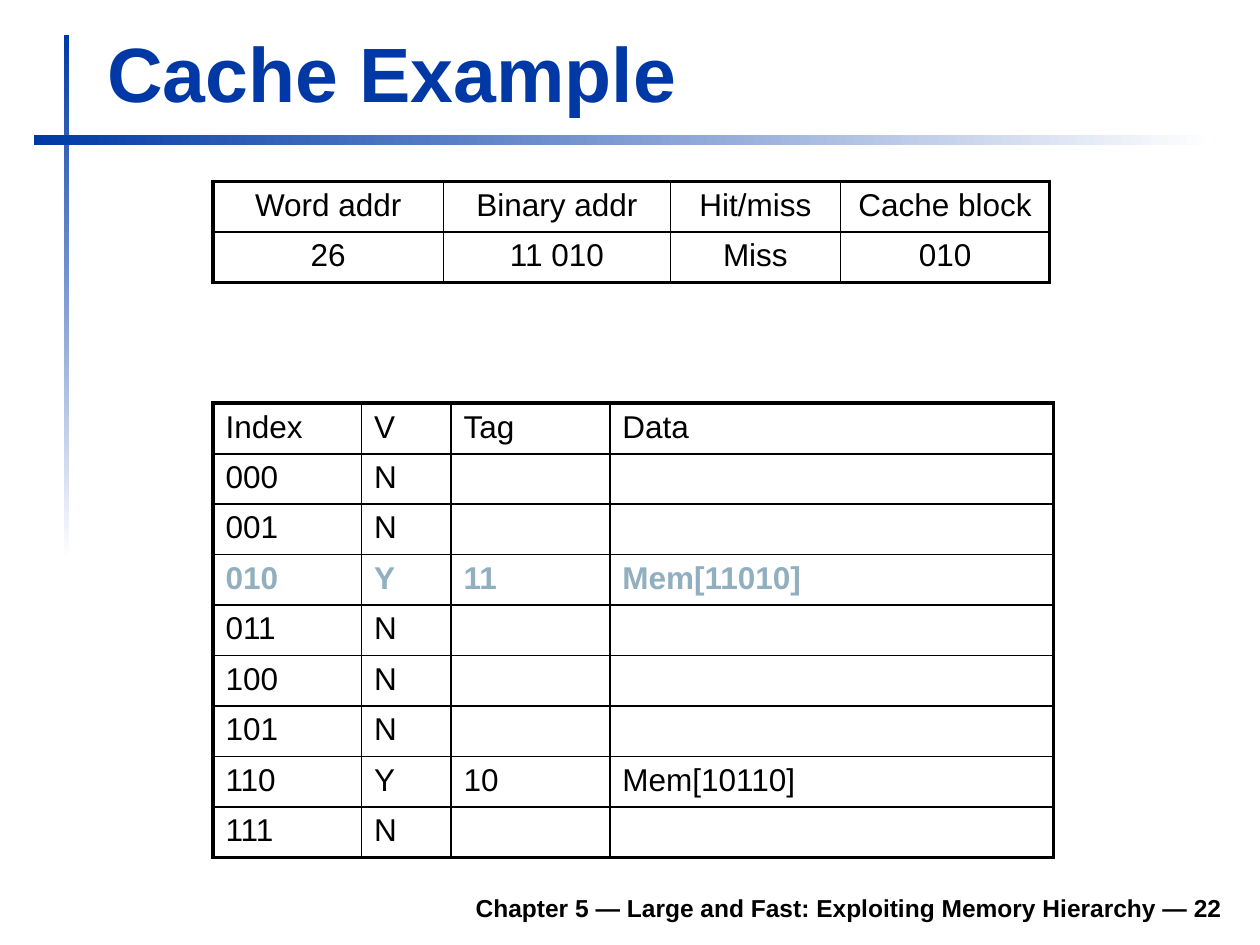
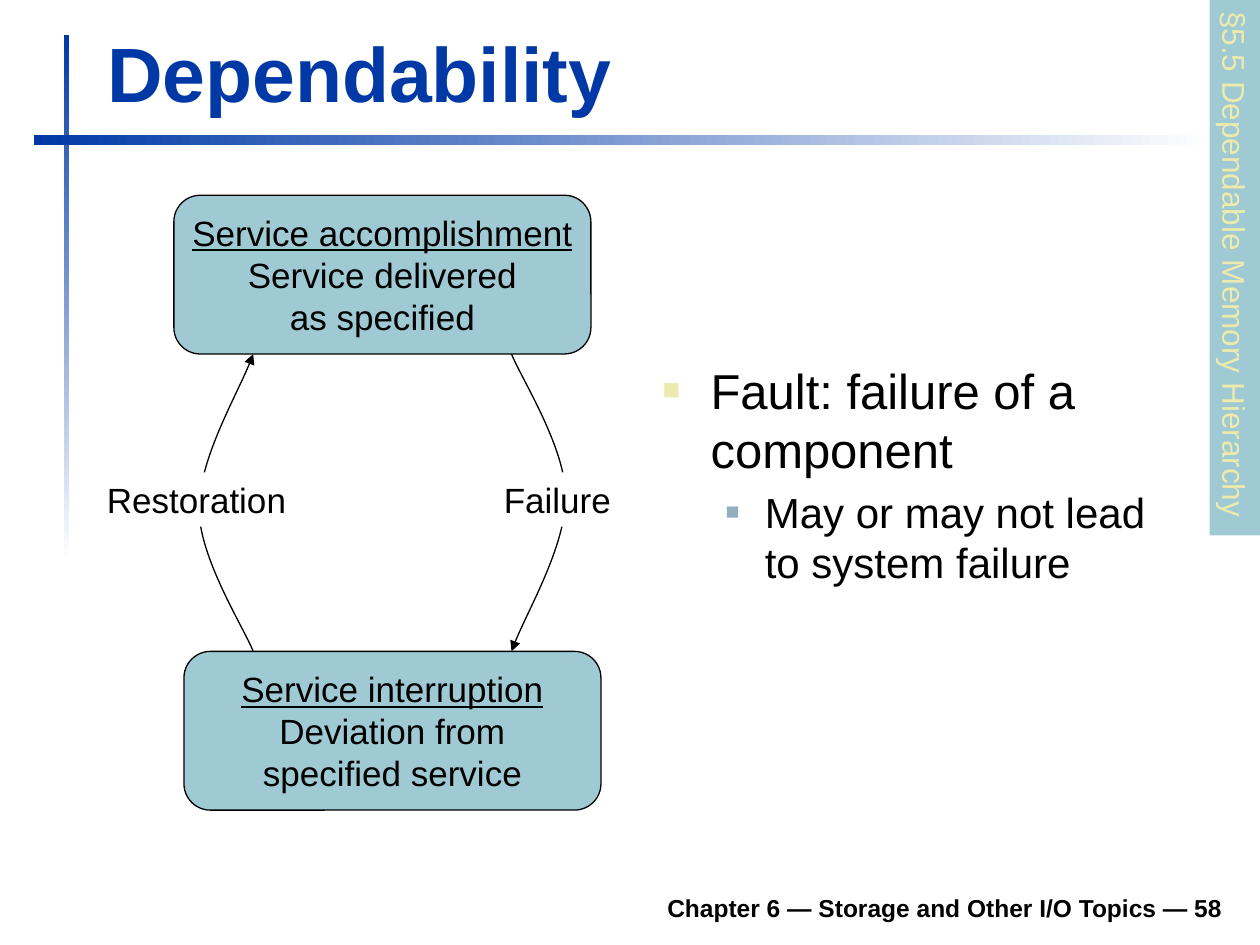
from lxml.etree import SubElement
from pptx import Presentation
from pptx.dml.color import RGBColor
from pptx.enum.shapes import MSO_SHAPE
from pptx.enum.text import MSO_ANCHOR, MSO_AUTO_SIZE, PP_ALIGN
from pptx.oxml.ns import qn
from pptx.util import Pt

EMU_PER_PX = 9144
FONT = "Arial"
BLUE = RGBColor(0x00, 0x39, 0xA6)
WHITE = RGBColor(0xFF, 0xFF, 0xFF)
BLACK = RGBColor(0x00, 0x00, 0x00)
TEAL = RGBColor(0x9F, 0xCA, 0xD3)
STEEL = RGBColor(0x91, 0xAF, 0xBF)
CREAM = RGBColor(0xEC, 0xEA, 0xAC)

TITLE_ONLY, TITLE_AND_BODY = 5, 1
ROW_HEIGHT = 40
OUTER, HEADER_RULE, INNER = 2.25, 1.5, 1

ACCESS_ROWS = [
    ["Word addr", "Binary addr", "Hit/miss", "Cache block"],
    ["26", "11 010", "Miss", "010"],
]
VALID_BLOCKS = {"010": ["Y", "11", "Mem[11010]"], "110": ["Y", "10", "Mem[10110]"]}
CACHE_ROWS = [["Index", "V", "Tag", "Data"]] + [
    [index] + VALID_BLOCKS.get(index, ["N", "", ""])
    for index in (format(number, "03b") for number in range(8))
]


def px(*lengths):
    return [length * EMU_PER_PX for length in lengths]


def write(paragraph, text, size=18, color=BLACK, bold=False, underline=False,
          align=PP_ALIGN.LEFT, before=0):
    paragraph.text = text
    paragraph.alignment = align
    paragraph.space_before = Pt(before)
    for run in paragraph.runs:
        font = run.font
        font.name, font.size = FONT, Pt(size)
        font.bold, font.underline = bold, underline
        font.color.rgb = color


def place(shape, box):
    shape.left, shape.top, shape.width, shape.height = px(*box)


def add_box(slide, box, fill=None, line=None, kind=MSO_SHAPE.RECTANGLE):
    shape = slide.shapes.add_shape(kind, *px(*box))
    shape.shadow.inherit = False
    if fill is not None:
        shape.fill.solid()
        shape.fill.fore_color.rgb = fill
    set_line(shape, line)
    shape.text_frame.word_wrap = False
    return shape


def set_line(shape, color):
    if color is None:
        shape.line.fill.background()
    else:
        shape.line.color.rgb = color
        shape.line.width = Pt(0.75)


def add_label(slide, box, text, fill=WHITE, **text_format):
    shape = add_box(slide, box, fill)
    frame = shape.text_frame
    frame.auto_size = MSO_AUTO_SIZE.SHAPE_TO_FIT_TEXT
    frame.vertical_anchor = MSO_ANCHOR.TOP
    write(frame.paragraphs[0], text, **text_format)
    return shape


def add_gradient_band(slide, box, angle):
    shape = add_box(slide, box)
    shape.fill.gradient()
    shape.fill.gradient_angle = angle
    for stop, position, color in zip(shape.fill.gradient_stops, (0, 1), (BLUE, WHITE)):
        stop.position = position
        stop.color.rgb = color


def add_base_slide(presentation, layout, title, footer):
    slide = presentation.slides.add_slide(presentation.slide_layouts[layout])
    add_gradient_band(slide, (51, 28, 4, 417), 270)
    add_gradient_band(slide, (27, 107, 937, 8), 0)

    place(slide.shapes.title, (75, 16, 903, 83))
    frame = slide.shapes.title.text_frame
    frame.auto_size = MSO_AUTO_SIZE.NONE
    frame.vertical_anchor = MSO_ANCHOR.BOTTOM
    write(frame.paragraphs[0], title, size=44, color=BLUE, bold=True)

    frame = slide.shapes.add_textbox(*px(185, 698, 795, 39)).text_frame
    frame.word_wrap = True
    frame.vertical_anchor = MSO_ANCHOR.BOTTOM
    write(frame.paragraphs[0], footer, size=14, bold=True, align=PP_ALIGN.RIGHT)
    return slide


def set_borders(cell, **widths):
    properties = cell._tc.get_or_add_tcPr()
    for side, width in widths.items():
        line = SubElement(properties, qn(f"a:ln{side}"), w=str(Pt(width)))
        fill = SubElement(line, qn("a:solidFill"))
        SubElement(fill, qn("a:srgbClr"), val=str(BLACK))


def row_rule(position, count):
    if position in (0, count):
        return OUTER
    return HEADER_RULE if position == 1 else INNER


def add_grid(slide, left, top, widths, rows, highlight=None, align=PP_ALIGN.LEFT):
    box = (left, top, sum(widths), ROW_HEIGHT * len(rows))
    table = slide.shapes.add_table(len(rows), len(widths), *px(*box)).table
    table.first_row = table.horz_banding = False
    for column, width in zip(table.columns, px(*widths)):
        column.width = width
    last = len(widths) - 1
    for row, texts in enumerate(rows):
        marked = texts[0] == highlight
        for column, text in enumerate(texts):
            cell = table.cell(row, column)
            set_borders(
                cell,
                L=OUTER if column == 0 else INNER,
                R=OUTER if column == last else INNER,
                T=row_rule(row, len(rows)),
                B=row_rule(row + 1, len(rows)),
            )
            cell.fill.background()
            write(cell.text_frame.paragraphs[0], text, align=align,
                  bold=marked, color=STEEL if marked else BLACK)


def add_bullet(paragraph, level, text, indent, hanging, bullet_color, bullet_size,
               **text_format):
    paragraph.level = level
    properties = paragraph._p.get_or_add_pPr()
    properties.set("marL", str(indent * EMU_PER_PX))
    properties.set("indent", str(-hanging * EMU_PER_PX))
    color = SubElement(properties, qn("a:buClr"))
    SubElement(color, qn("a:srgbClr"), val=str(bullet_color))
    SubElement(properties, qn("a:buSzPct"), val=str(bullet_size * 1000))
    SubElement(properties, qn("a:buFont"), typeface=FONT)
    SubElement(properties, qn("a:buChar"), char="■")
    write(paragraph, text, **text_format)


def add_fault_list(slide, box):
    body = slide.placeholders[1]
    place(body, box)
    frame = body.text_frame
    frame.auto_size = MSO_AUTO_SIZE.NONE
    add_bullet(frame.paragraphs[0], 0, "Fault: failure of a component",
               38, 38, CREAM, 60, size=28)
    add_bullet(frame.add_paragraph(), 1, "May or may not lead to system failure",
               81, 31, STEEL, 55, size=24, before=4.8)


def add_state(slide, box, name, description):
    shape = add_box(slide, box, TEAL, BLACK, MSO_SHAPE.ROUNDED_RECTANGLE)
    frame = shape.text_frame
    frame.vertical_anchor = MSO_ANCHOR.MIDDLE
    write(frame.paragraphs[0], name, size=20, underline=True, align=PP_ALIGN.CENTER)
    write(frame.add_paragraph(), description, size=20, align=PP_ALIGN.CENTER)


def add_curved_arrow(slide, points):
    start, *controls = [px(*point) for point in points]
    builder = slide.shapes.build_freeform(*start)
    builder.add_line_segments(controls, close=False)
    shape = builder.convert_to_shape()
    shape.shadow.inherit = False
    shape.fill.background()
    set_line(shape, BLACK)
    SubElement(shape.line._get_or_add_ln(), qn("a:tailEnd"), type="triangle")

    outline = next(shape._element.iter(qn("a:path")))
    segments = outline.findall(qn("a:lnTo"))
    for first in range(0, len(segments), 3):
        curve = SubElement(outline, qn("a:cubicBezTo"))
        for segment in segments[first:first + 3]:
            curve.append(segment[0])
            outline.remove(segment)


def add_state_cycle(slide, left, top):
    state_size = (331, 126)
    add_state(slide, (left + 63, top, *state_size),
              "Service accomplishment", "Service delivered\vas specified")
    add_state(slide, (left + 71, top + 362, *state_size),
              "Service interruption", "Deviation from\vspecified service")

    failure = [(331, 126), (338, 144), (374, 200), (374, 239),
               (374, 278), (340, 336), (331, 362)]
    restoration = [(457 - x, 488 - y) for x, y in failure]
    for curve in (failure, restoration):
        add_curved_arrow(slide, [(left + x, top + y) for x, y in curve])

    add_label(slide, (left + 315, top + 220, 105, 43), "Failure", size=20)
    add_label(slide, (left, top + 220, 162, 43), "Restoration", size=20,
              align=PP_ALIGN.RIGHT)


def add_section_tab(slide, box, text):
    tab = add_label(slide, box, text, fill=TEAL, color=CREAM)
    tab.rotation = 90


def add_cache_slide(presentation):
    slide = add_base_slide(
        presentation, TITLE_ONLY, "Cache Example",
        "Chapter 5 — Large and Fast: Exploiting Memory Hierarchy — 22")
    add_grid(slide, 169, 320, (118, 71, 126, 352), CACHE_ROWS, highlight="010")
    add_grid(slide, 169, 144, (183, 180, 135, 166), ACCESS_ROWS, align=PP_ALIGN.CENTER)


def add_dependability_slide(presentation):
    slide = add_base_slide(
        presentation, TITLE_AND_BODY, "Dependability",
        "Chapter 6 — Storage and Other I/O Topics — 58")
    add_fault_list(slide, (516, 281, 433, 402))
    add_state_cycle(slide, 75, 155)
    add_section_tab(slide, (767, 192, 426, 40), "§5.5 Dependable Memory Hierarchy")


def main():
    presentation = Presentation()
    presentation.slide_width, presentation.slide_height = px(1000, 750)
    add_cache_slide(presentation)
    add_dependability_slide(presentation)
    presentation.save("out.pptx")


if __name__ == "__main__":
    main()
